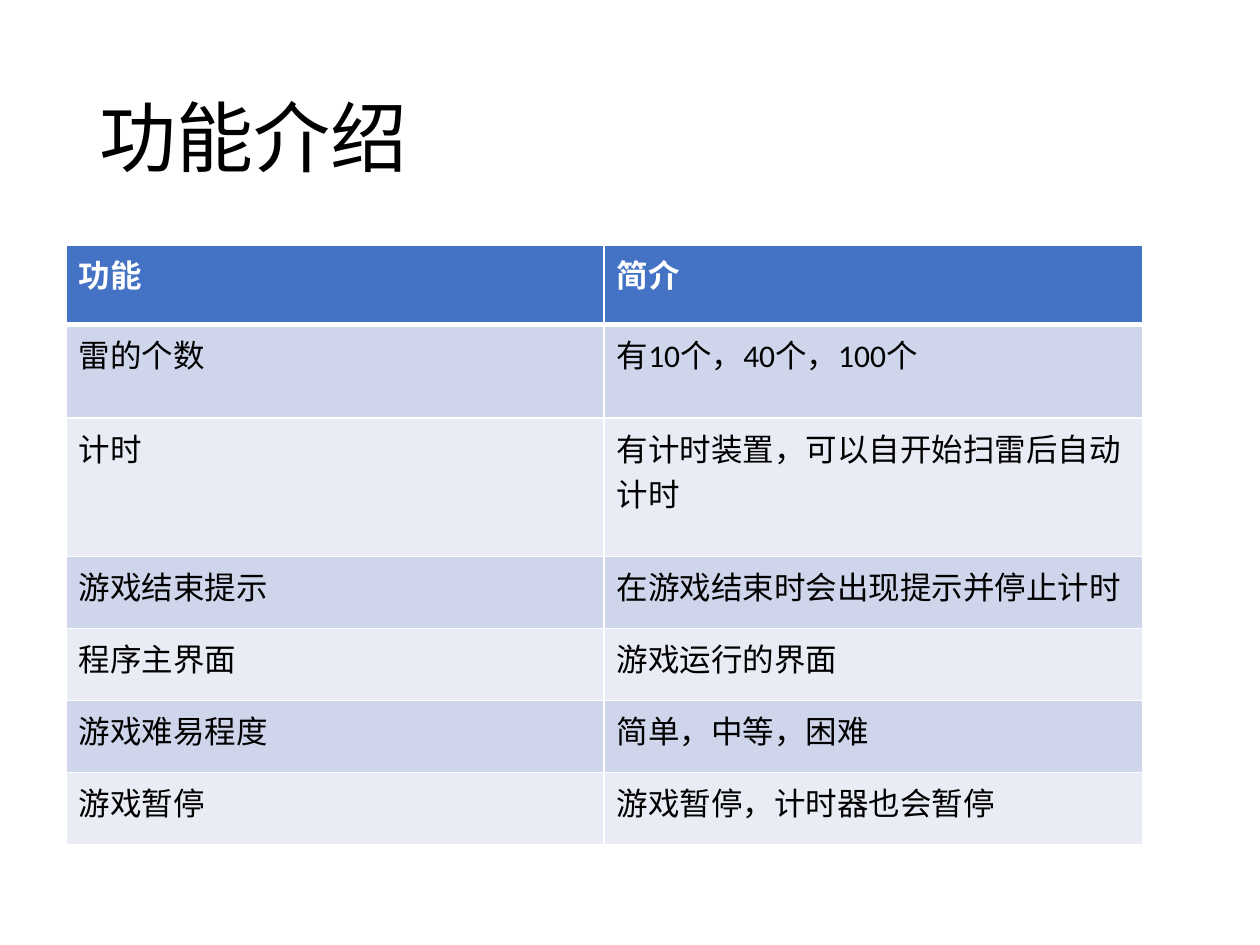
from pptx import Presentation
from pptx.dml.color import RGBColor
from pptx.enum.text import MSO_ANCHOR, PP_ALIGN
from pptx.oxml import parse_xml
from pptx.oxml.ns import nsdecls
from pptx.util import Cm, Pt

LEFT = PP_ALIGN.LEFT
MIDDLE = MSO_ANCHOR.MIDDLE

ROWS = [
    (1.6, "功能", "简介"),
    (1.89, "雷的个数", "有10个，40个，100个"),
    (2.79, "计时", "有计时装置，可以自开始扫雷后自动计时"),
    (1.45, "游戏结束提示", "在游戏结束时会出现提示并停止计时"),
    (1.45, "程序主界面", "游戏运行的界面"),
    (1.45, "游戏难易程度", "简单，中等，困难"),
    (1.45, "游戏暂停", "游戏暂停，计时器也会暂停"),
]


def color(code):
    return RGBColor.from_string(code)


class Deck:
    """Holds the style and the current slide."""

    font = "Calibri"
    ink = "000000"
    paper = "FFFFFF"
    head = "4472C4"
    bands = ("E9EBF5", "CFD5EA")

    def __init__(self, slide):
        self.slide = slide

    def label(self, frame, text, size, ink, bold=False):
        frame.text = text
        para = frame.paragraphs[0]
        para.alignment = LEFT
        para.font.name = self.font
        para.font.size = Pt(size)
        para.font.bold = bold
        para.font.color.rgb = color(ink)
        return para

    def title(self, text, left, top, width, height):
        box = self.slide.shapes.title
        box.left, box.top, box.width, box.height = map(Cm, (left, top, width, height))
        box.text_frame.vertical_anchor = MIDDLE
        self.label(box.text_frame, text, 44, self.ink).line_spacing = 0.9

    def border(self, cell, side, width):
        cell._tc.get_or_add_tcPr().append(parse_xml(
            f'<a:{side} {nsdecls("a")} w="{Pt(width)}"><a:solidFill>'
            f'<a:srgbClr val="{self.paper}"/></a:solidFill></a:{side}>'))

    def table(self, rows, left, top, width):
        count = len(rows[0]) - 1
        high = sum(row[0] for row in rows)
        grid = self.slide.shapes.add_table(
            len(rows), count, Cm(left), Cm(top), Cm(width), Cm(high)).table
        for col in grid.columns:
            col.width = Cm(width / count)
        for r, (height, *texts) in enumerate(rows):
            grid.rows[r].height = Cm(height)
            first = r == 0
            for c, text in enumerate(texts):
                cell = grid.cell(r, c)
                for side in ("lnL", "lnR", "lnT", "lnB"):
                    thick = (side, r) in (("lnB", 0), ("lnT", 1))
                    self.border(cell, side, 3 if thick else 1)
                cell.fill.solid()
                cell.fill.fore_color.rgb = color(self.head if first else self.bands[r % 2])
                self.label(cell.text_frame, text, 18,
                           self.paper if first else self.ink, first)


show = Presentation()
show.slide_width, show.slide_height = Cm(25.4), Cm(19.05)
deck = Deck(show.slides.add_slide(show.slide_layouts[5]))
deck.title("功能介绍", 1.75, 1.02, 21.9, 3.68)
deck.table(ROWS, 1.33, 4.94, 21.7)
show.save("out.pptx")
